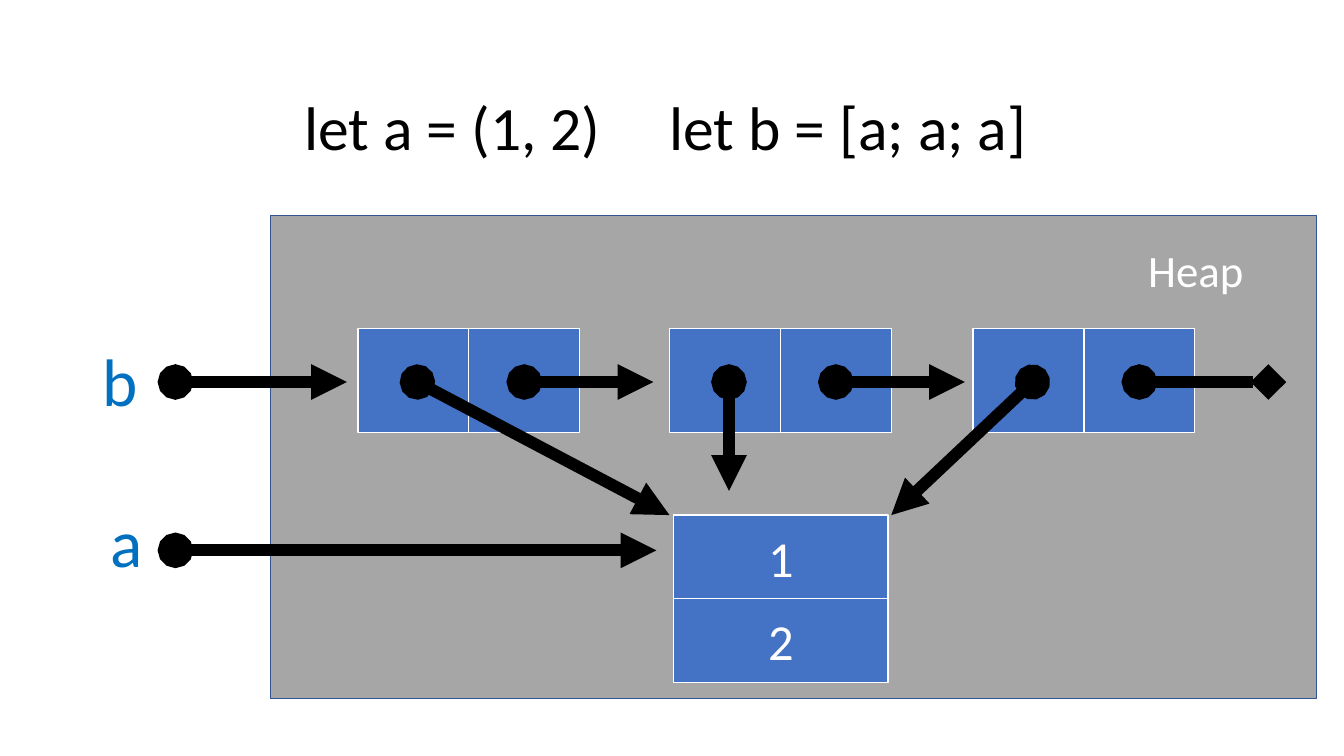
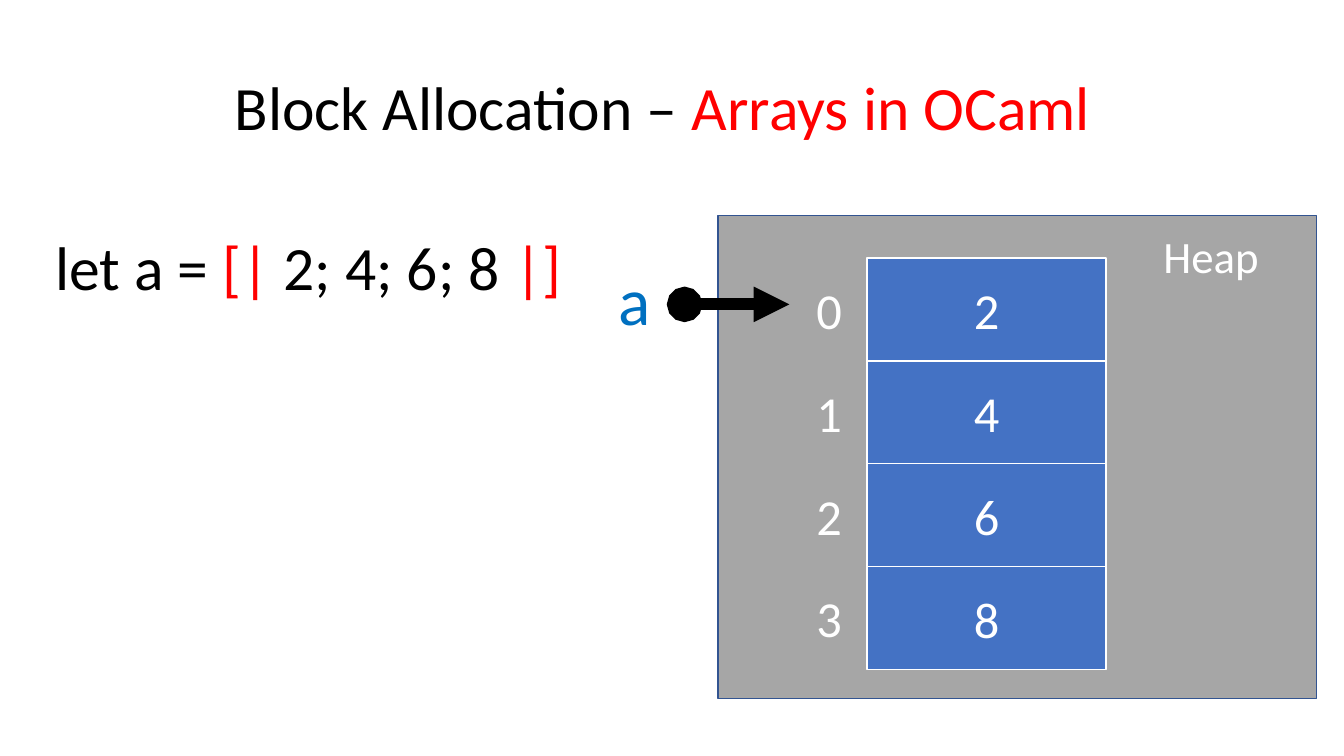
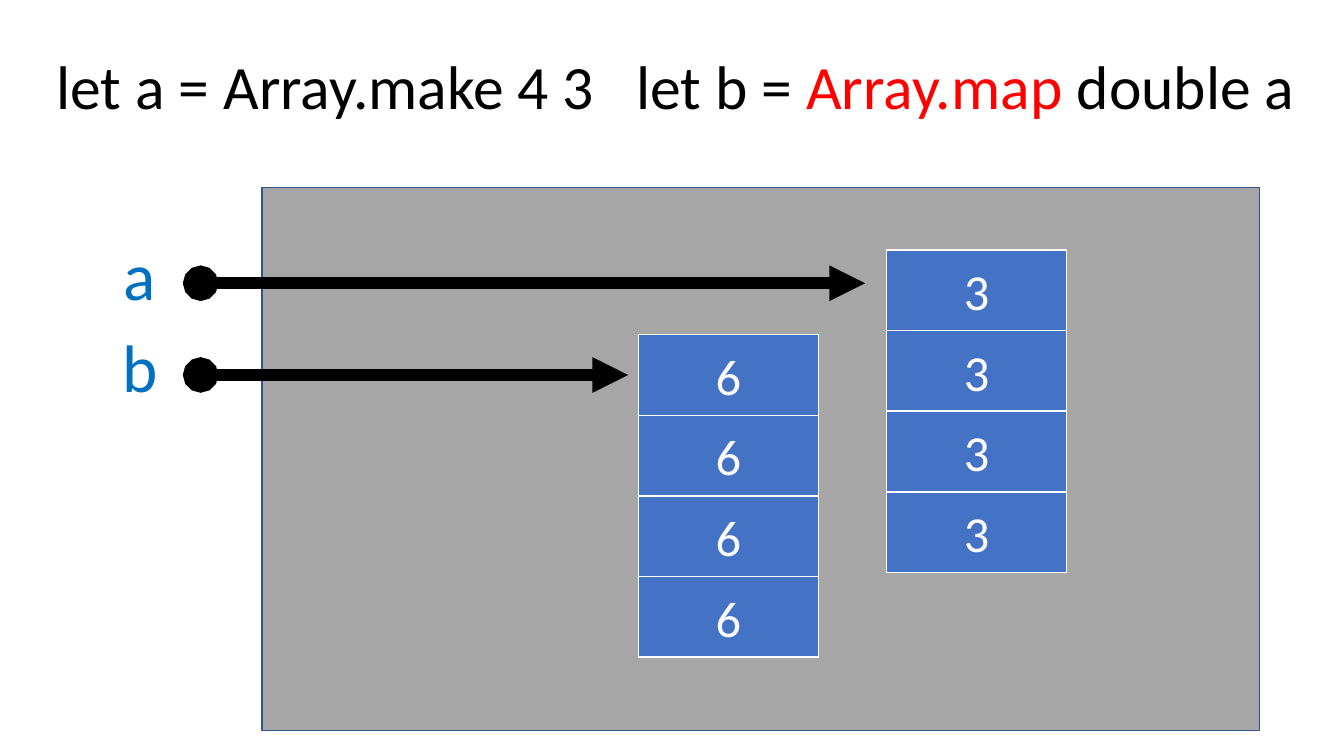
from dataclasses import dataclass

import pptx
import pptx.dml.color
import pptx.enum.shapes
import pptx.enum.text
import pptx.oxml.ns
import pptx.util
from lxml import etree

Inches = pptx.util.Inches
Pt = pptx.util.Pt
ALIGN = pptx.enum.text.PP_ALIGN
ANCHOR = pptx.enum.text.MSO_ANCHOR
TITLE_ONLY = 5


# Colours and type sizes
@dataclass(frozen=True)
class Theme:
    font: str = "Calibri"
    ink: str = "000000"
    accent: str = "FF0000"
    variable: str = "0070C0"
    light: str = "FFFFFF"
    heap: str = "A6A6A6"
    heap_edge: str = "325491"
    cell: str = "4472C4"
    code_size: int = 44
    variable_size: int = 48
    cell_size: int = 36
    heap_size: int = 32
    edge: float = 1
    pointer: float = 8.5


THEME = Theme()


def rgb(value):
    return pptx.dml.color.RGBColor.from_string(value)


# Text
def format_run(r, size, color):
    r.font.name = THEME.font
    r.font.size = Pt(size)
    r.font.color.rgb = rgb(color)


def write_code(tf, parts, align=ALIGN.LEFT):
    """Write one line of (text, colour) parts in the large code style."""
    tf.word_wrap = True
    tf.auto_size = pptx.enum.text.MSO_AUTO_SIZE.NONE
    p = tf.paragraphs[0]
    p.alignment = align
    p.line_spacing = 0.9
    for text, color in parts:
        r = p.add_run()
        r.text = text
        format_run(r, THEME.code_size, color)
    return p


def add_tab_stop(p, position):
    tabs = etree.SubElement(p._p.get_or_add_pPr(), pptx.oxml.ns.qn("a:tabLst"))
    etree.SubElement(tabs, pptx.oxml.ns.qn("a:tab"),
                     pos=str(Inches(position)), algn="l")


def add_label(slide, text, x, y, w, h, size, color, wrap=True):
    sp = slide.shapes.add_textbox(Inches(x), Inches(y), Inches(w), Inches(h))
    tf = sp.text_frame
    tf.word_wrap = wrap
    tf.text = text
    format_run(tf.paragraphs[0].runs[0], size, color)


def add_variable(slide, name, x, y):
    add_label(slide, name, x, y, 0.56, 0.91, THEME.variable_size, THEME.variable)


def add_heap_label(slide, x, y):
    add_label(slide, "Heap", x, y, 1.16, 0.64, THEME.heap_size, THEME.light, wrap=False)


# Slides
def new_slide(prs, box, parts, align=ALIGN.LEFT, inset=0.1, tab=None):
    slide = prs.slides.add_slide(prs.slide_layouts[TITLE_ONLY])
    title = slide.shapes.title
    title.left, title.top, title.width, title.height = map(Inches, box)
    tf = title.text_frame
    tf.vertical_anchor = ANCHOR.MIDDLE
    tf.margin_left = Inches(inset)
    p = write_code(tf, parts, align)
    if tab:
        add_tab_stop(p, tab)
    return slide


# Memory blocks
def add_box(slide, x, y, w, h, fill, edge):
    sp = slide.shapes.add_shape(pptx.enum.shapes.MSO_SHAPE.RECTANGLE,
                                Inches(x), Inches(y), Inches(w), Inches(h))
    sp.shadow.inherit = False
    sp.fill.solid()
    sp.fill.fore_color.rgb = rgb(fill)
    sp.line.color.rgb = rgb(edge)
    sp.line.width = Pt(THEME.edge)
    return sp


def add_heap(slide, x, y, w, h):
    add_box(slide, x, y, w, h, THEME.heap, THEME.heap_edge)


def add_cell(slide, x, y, w, h, text=""):
    sp = add_box(slide, x, y, w, h, THEME.cell, THEME.light)
    if text:
        tf = sp.text_frame
        tf.vertical_anchor = ANCHOR.MIDDLE
        tf.text = text
        p = tf.paragraphs[0]
        p.alignment = ALIGN.CENTER
        format_run(p.runs[0], THEME.cell_size, THEME.light)


def add_column(slide, x, y, w, h, values):
    for i, value in enumerate(values):
        add_cell(slide, x, y + i * h, w, h, value)


def add_pointer(slide, x1, y1, x2, y2, tail="triangle"):
    line = slide.shapes.add_connector(pptx.enum.shapes.MSO_CONNECTOR.STRAIGHT,
                                      Inches(x1), Inches(y1), Inches(x2), Inches(y2))
    line.line.color.rgb = rgb(THEME.ink)
    line.line.width = Pt(THEME.pointer)
    ln = line.line._get_or_add_ln()
    for end, kind in (("a:headEnd", "oval"), ("a:tailEnd", tail)):
        etree.SubElement(ln, pptx.oxml.ns.qn(end), type=kind)
    etree.SubElement(line._element.spPr, pptx.oxml.ns.qn("a:effectLst"))


def add_list_node(slide, x, target, tail="triangle"):
    """Two cells: one points at the element, one at the next node."""
    top, middle, w = 3.26, 3.79, 1.1
    for i in range(2):
        add_cell(slide, x + i * w, top, w, 1.03)
    add_pointer(slide, x + 1.65, middle, x + 2.93, middle, tail)
    add_pointer(slide, x + 0.59, middle, *target)


# Content
def list_slide(prs):
    slide = new_slide(prs, (0.89, 0.57, 11.5, 1.45),
                      [("let a = (1, 2)\tlet b = [a; a; a]", THEME.ink)],
                      inset=2.13, tab=3.62)
    add_heap(slide, 2.68, 2.14, 10.38, 4.79)
    add_heap_label(slide, 11.29, 2.36)
    add_variable(slide, "a", 1, 4.91)
    add_pointer(slide, 1.74, 5.46, 6.51, 5.46)
    add_column(slide, 6.68, 5.11, 2.13, 0.83, ["1", "2"])
    add_variable(slide, "b", 0.92, 3.32)
    add_pointer(slide, 1.74, 3.79, 3.44, 3.79)
    add_list_node(slide, 3.55, (6.64, 5.11))
    add_list_node(slide, 6.64, (7.23, 4.87))
    add_list_node(slide, 9.65, (8.84, 5.11), tail="diamond")


def array_slide(prs):
    slide = new_slide(prs, (0.89, 0.37, 11.5, 1.45),
                      [("Block Allocation – ", THEME.ink),
                       ("Arrays in OCaml ", THEME.accent)], ALIGN.CENTER)
    add_heap(slide, 7.12, 2.14, 5.94, 4.79)
    add_heap_label(slide, 11.44, 2.22)
    add_variable(slide, "a", 6.04, 2.51)
    add_pointer(slide, 6.79, 3.02, 7.83, 3.02)

    # Array with its indices
    values, top, h = ["2", "4", "6", "8"], 2.56, 1.02
    add_column(slide, 8.6, top, 2.37, h, values)
    for i in range(len(values)):
        add_label(slide, str(i), 8, top + 0.16 + i * h, 0.53, 0.71,
                  THEME.cell_size, THEME.light)

    # Array literal
    code = slide.shapes.add_textbox(Inches(0.45), Inches(1.66), Inches(5.24), Inches(3.36))
    code.text_frame.margin_top = Inches(0.69)
    write_code(code.text_frame, [("let a = ", THEME.ink), ("[| ", THEME.accent),
                                 ("2; 4; 6; 8 ", THEME.ink), ("|]", THEME.accent)])


def map_slide(prs):
    slide = new_slide(prs, (0.46, 0.59, 12.69, 0.59),
                      [("let a = Array.make 4 3\tlet b = ", THEME.ink),
                       ("Array.map ", THEME.accent), ("double a", THEME.ink)], tab=5.75)
    add_heap(slide, 2.6, 1.86, 9.89, 5.39)
    add_variable(slide, "a", 1.13, 2.27)
    add_pointer(slide, 1.99, 2.81, 8.58, 2.81)
    add_column(slide, 8.79, 2.48, 1.79, 0.8, ["3"] * 4)
    add_variable(slide, "b", 1.12, 3.18)
    add_pointer(slide, 1.99, 3.72, 6.23, 3.72)
    add_column(slide, 6.33, 3.32, 1.79, 0.8, ["6"] * 4)


def main():
    prs = pptx.Presentation()
    prs.slide_width = Inches(13.33)
    prs.slide_height = Inches(7.5)
    list_slide(prs)
    array_slide(prs)
    map_slide(prs)
    prs.save("out.pptx")


main()
